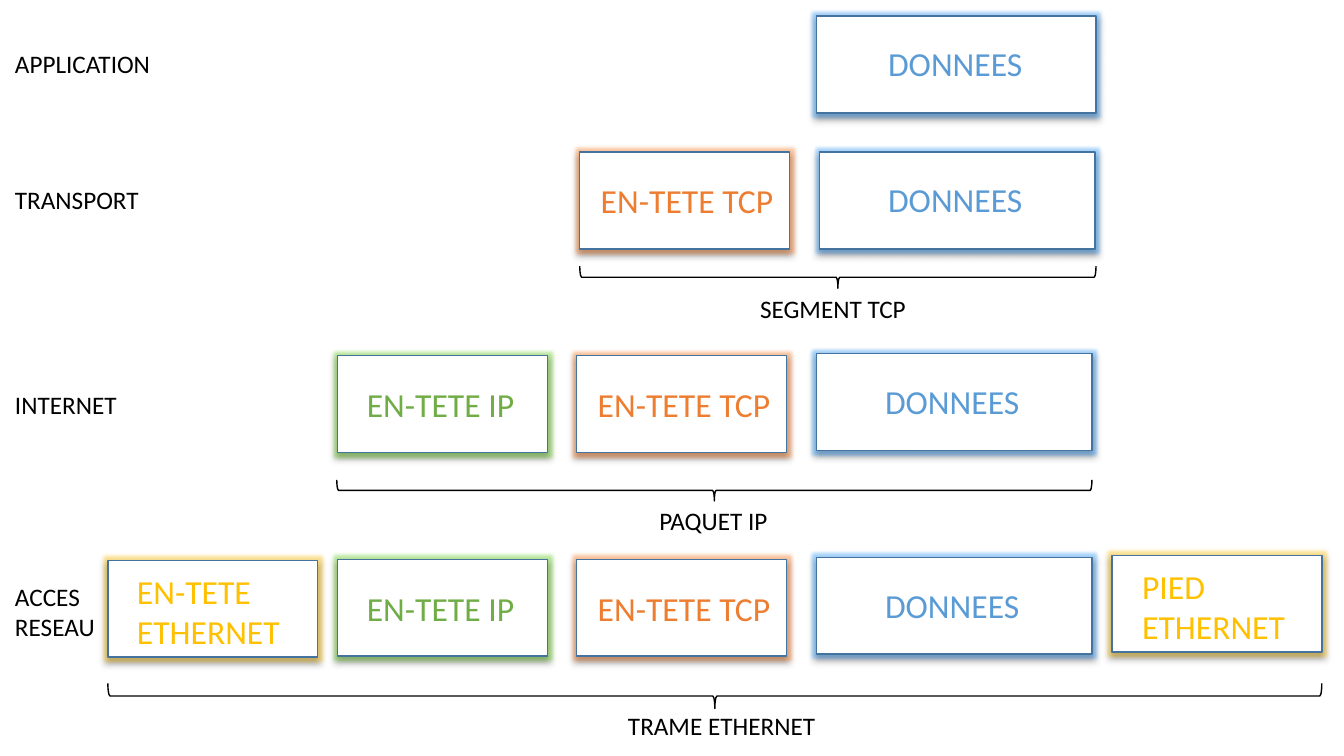
from dataclasses import dataclass

from lxml.etree import SubElement
from pptx import Presentation
from pptx.dml.color import RGBColor
from pptx.enum.shapes import MSO_SHAPE as Preset
from pptx.enum.text import MSO_AUTO_SIZE as AutoSize
from pptx.oxml.ns import qn
from pptx.slide import Slide
from pptx.util import Inches, Pt

BLUE = RGBColor(0x5B, 0x9B, 0xD5)
ORANGE = RGBColor(0xED, 0x7D, 0x31)
GREEN = RGBColor(0x70, 0xAD, 0x47)
GOLD = RGBColor(0xFF, 0xC0, 0x00)
OUTLINE = RGBColor(0x43, 0x73, 0x9E)
BLACK = RGBColor(0x00, 0x00, 0x00)
WHITE = RGBColor(0xFF, 0xFF, 0xFF)

BLOCK_HEIGHT = 0.96
LAYER_FONT = {"name": "Calibri", "size": Pt(18)}
FIELD_FONT = {"name": "Calibri", "size": Pt(24)}
FRAME_FORMAT = {"word_wrap": True, "auto_size": AutoSize.SHAPE_TO_FIT_TEXT}


@dataclass(frozen=True)
class Field:
    text: str
    color: RGBColor
    width: float
    text_dx: float
    text_dy: float
    text_width: float
    text_height: float = 0.5


@dataclass(frozen=True)
class Block:
    field: Field
    left: float
    top: float


@dataclass(frozen=True)
class Label:
    text: str
    left: float
    top: float
    width: float = 1.62
    height: float = 0.4


@dataclass(frozen=True)
class Brace:
    left: float
    top: float
    span: float
    depth: float


APP_DATA = Field("DONNEES", BLUE, 2.77, 0.61, 0.22, 2.15)
DATA = Field("DONNEES", BLUE, 2.73, 0.58, 0.22, 2.15)
TCP = Field("EN-TETE TCP", ORANGE, 2.08, 0.11, 0.23, 2.15)
IP = Field("EN-TETE IP", GREEN, 2.08, 0.19, 0.23, 1.7)
ETHERNET_HEAD = Field("EN-TETE ETHERNET", GOLD, 2.08, 0.19, 0.05, 1.7, 0.91)
ETHERNET_FOOT = Field("PIED ETHERNET", GOLD, 2.08, 0.2, 0.05, 1.7, 0.91)

BLOCKS = [
    Block(APP_DATA, 8.1, 0.16),
    Block(TCP, 5.75, 1.51),
    Block(DATA, 8.13, 1.51),
    Block(IP, 3.35, 3.53),
    Block(TCP, 5.72, 3.53),
    Block(DATA, 8.1, 3.51),
    Block(ETHERNET_HEAD, 1.07, 5.56),
    Block(IP, 3.35, 5.55),
    Block(TCP, 5.72, 5.55),
    Block(DATA, 8.1, 5.53),
    Block(ETHERNET_FOOT, 11.03, 5.51),
]
BRACES = [
    Brace(5.75, 2.64, 5.12, 0.22),
    Brace(3.34, 4.76, 7.49, 0.21),
    Brace(1.07, 6.78, 12.04, 0.25),
]
LABELS = [
    Label("APPLICATION", 0.05, 0.43),
    Label("TRANSPORT", 0.05, 1.78),
    Label("INTERNET", 0.05, 3.81),
    Label("ACCES RESEAU", 0.05, 5.72, height=0.71),
    Label("SEGMENT TCP", 7.44, 2.86, 1.74),
    Label("PAQUET IP", 6.44, 4.96, 1.45),
    Label("TRAME ETHERNET", 6.13, 7, 2.08),
]


def add_label(slide: Slide, label: Label, font_format: dict, color: RGBColor) -> None:
    box = slide.shapes.add_textbox(
        Inches(label.left), Inches(label.top), Inches(label.width), Inches(label.height)
    )
    for name, value in FRAME_FORMAT.items():
        setattr(box.text_frame, name, value)
    run = box.text_frame.paragraphs[0].add_run()
    run.text = label.text
    for name, value in font_format.items():
        setattr(run.font, name, value)
    run.font.color.rgb = color


def add_block(slide: Slide, block: Block) -> None:
    field = block.field
    frame = slide.shapes.add_shape(
        Preset.FLOWCHART_PROCESS,
        Inches(block.left), Inches(block.top), Inches(field.width), Inches(BLOCK_HEIGHT),
    )
    frame.fill.solid()
    frame.fill.fore_color.rgb = WHITE
    frame.line.color.rgb = OUTLINE
    frame.line.width = Pt(1)
    frame.shadow.inherit = False
    effects = frame.element.spPr.find(qn("a:effectLst"))
    glow = SubElement(effects, qn("a:glow"), rad=str(Pt(5)))
    glow_color = SubElement(glow, qn("a:srgbClr"), val=str(field.color))
    SubElement(glow_color, qn("a:satMod"), val="175000")
    SubElement(glow_color, qn("a:alpha"), val="40000")
    shadow = SubElement(
        effects, qn("a:outerShdw"),
        blurRad=str(Pt(4)), dist=str(Pt(3)), dir="5400000", rotWithShape="0",
    )
    shadow_color = SubElement(shadow, qn("a:srgbClr"), val=str(BLACK))
    SubElement(shadow_color, qn("a:alpha"), val="40000")
    caption = Label(
        field.text, block.left + field.text_dx, block.top + field.text_dy,
        field.text_width, field.text_height,
    )
    add_label(slide, caption, FIELD_FONT, field.color)


def add_brace(slide: Slide, brace: Brace) -> None:
    inset = (brace.span - brace.depth) / 2
    bracket = slide.shapes.add_shape(
        Preset.RIGHT_BRACE,
        Inches(brace.left + inset), Inches(brace.top - inset),
        Inches(brace.depth), Inches(brace.span),
    )
    bracket.rotation = 90
    bracket.fill.background()
    bracket.line.color.rgb = BLACK
    bracket.line.width = Pt(1)
    bracket.shadow.inherit = False


def main() -> None:
    deck = Presentation()
    deck.slide_width = Inches(13.33)
    deck.slide_height = Inches(7.5)
    slide = deck.slides.add_slide(deck.slide_layouts.get_by_name("Blank"))
    for block in BLOCKS:
        add_block(slide, block)
    for brace in BRACES:
        add_brace(slide, brace)
    for label in LABELS:
        add_label(slide, label, LAYER_FONT, BLACK)
    deck.save("out.pptx")


if __name__ == "__main__":
    main()
